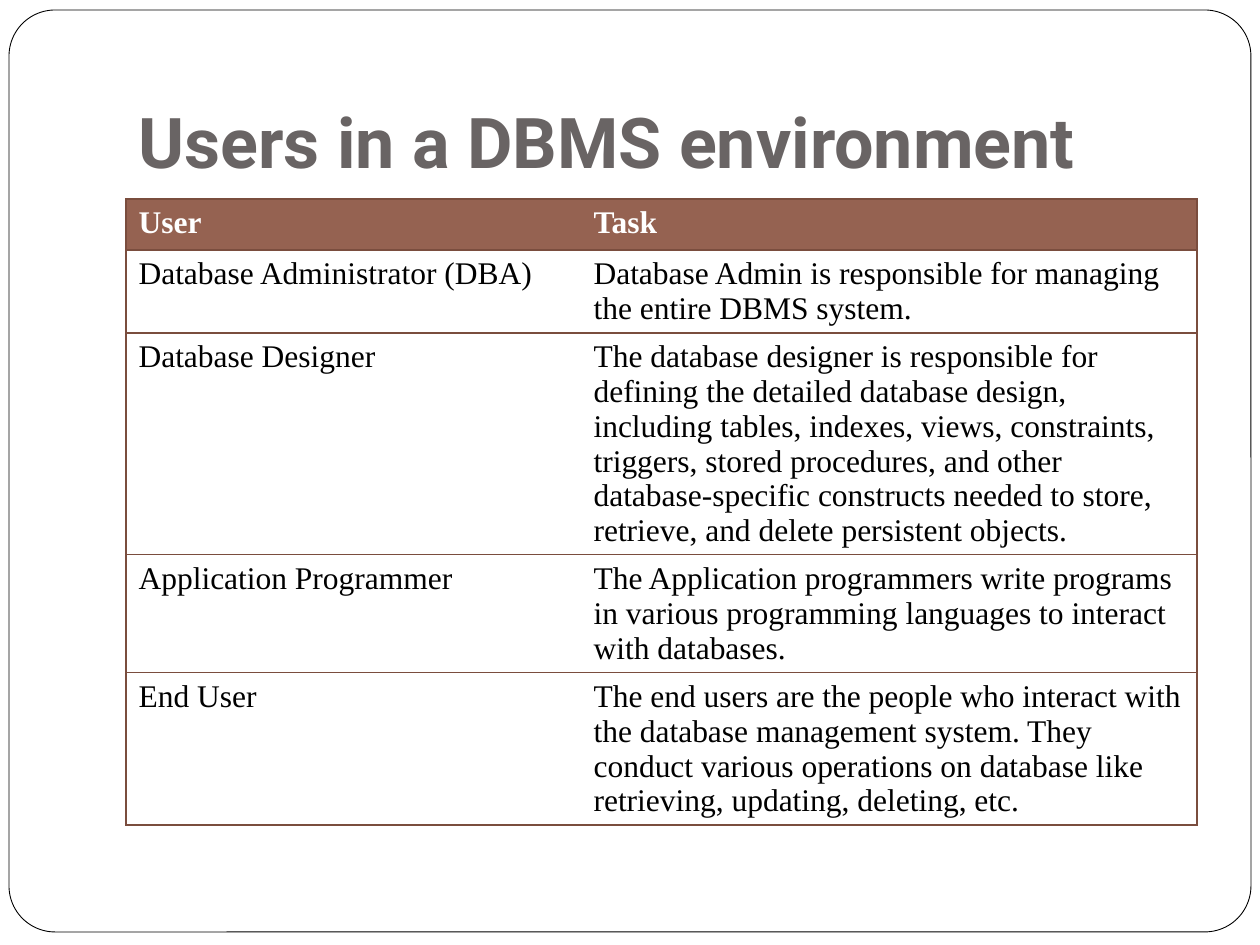
from dataclasses import dataclass

import lxml.etree
import pptx
import pptx.dml.color
import pptx.enum.shapes
import pptx.enum.text
import pptx.oxml.ns
import pptx.util

RGBColor = pptx.dml.color.RGBColor
BLACK = RGBColor(0x00, 0x00, 0x00)
WHITE = RGBColor(0xFF, 0xFF, 0xFF)
TITLE_GRAY = RGBColor(0x69, 0x64, 0x64)
HEADER_BROWN = RGBColor(0x95, 0x62, 0x51)
BORDER_BROWN = RGBColor(0x7A, 0x4D, 0x3E)

PX_PER_INCH = 126
BORDER_POINTS = 0.75
COLUMN_WIDTHS = (455, 616)


@dataclass(frozen=True)
class Row:
    user: str
    task: str
    height: int


HEADER = Row("User", "Task", 51)
ROWS = (
    HEADER,
    Row("Database Administrator (DBA)",
        "Database Admin is responsible for managing the entire DBMS system.", 83),
    Row("Database Designer",
        "The database designer is responsible for defining the detailed database "
        "design, including tables, indexes, views, constraints, triggers, stored "
        "procedures, and other database-specific constructs needed to store, "
        "retrieve, and delete persistent objects.", 221),
    Row("Application Programmer",
        "The Application programmers write programs in various programming "
        "languages to interact with databases.", 118),
    Row("End User",
        "The end users are the people who interact with the database management "
        "system. They conduct various operations on database like retrieving, "
        "updating, deleting, etc.", 152),
)


def px(length: int) -> pptx.util.Emu:
    return pptx.util.Emu(round(length * 914400 / PX_PER_INCH))


def add_frame(slide) -> None:
    """Draw the rounded page outline behind everything else."""
    frame = slide.shapes.add_shape(
        pptx.enum.shapes.MSO_SHAPE.ROUNDED_RECTANGLE, px(9), px(10), px(1242), px(922))
    frame.adjustments[0] = 0.05
    frame.shadow.inherit = False
    frame.fill.solid()
    frame.fill.fore_color.rgb = WHITE
    frame.line.color.rgb = BLACK
    frame.line.width = pptx.util.Pt(0.5)
    slide.shapes.element.insert(2, frame.element)


def format_title(title) -> None:
    title.left, title.top, title.width, title.height = px(126), px(38), px(1071), px(157)
    box = title.text_frame
    box.text = "Users in a DBMS environment"
    box.word_wrap = True
    box.vertical_anchor = pptx.enum.text.MSO_ANCHOR.BOTTOM
    box.margin_bottom = pptx.util.Inches(0.1)
    para = box.paragraphs[0]
    para.alignment = pptx.enum.text.PP_ALIGN.LEFT
    para.font.name = "Roboto"
    para.font.size = pptx.util.Pt(40)
    para.font.bold = True
    para.font.color.rgb = TITLE_GRAY


def set_borders(cell, visible_sides: str) -> None:
    """Line the named sides (L, R, T, B) and clear the others."""
    properties = cell._tc.get_or_add_tcPr()
    qn = pptx.oxml.ns.qn
    for index, side in enumerate("LRTB"):
        line = lxml.etree.Element(qn(f"a:ln{side}"), w=str(pptx.util.Pt(BORDER_POINTS)))
        if side in visible_sides:
            fill = lxml.etree.SubElement(line, qn("a:solidFill"))
            lxml.etree.SubElement(fill, qn("a:srgbClr"), val=str(BORDER_BROWN))
        else:
            lxml.etree.SubElement(line, qn("a:noFill"))
        properties.insert(index, line)


def fill_cell(cell, text: str, is_header: bool) -> None:
    cell.text = text
    cell.fill.solid()
    cell.fill.fore_color.rgb = HEADER_BROWN if is_header else WHITE
    font = cell.text_frame.paragraphs[0].font
    font.name = "Times New Roman"
    font.size = pptx.util.Pt(18)
    font.bold = is_header
    font.color.rgb = WHITE if is_header else BLACK


def add_user_table(slide) -> None:
    table = slide.shapes.add_table(
        len(ROWS), len(COLUMN_WIDTHS), px(126), px(199),
        px(sum(COLUMN_WIDTHS)), px(sum(row.height for row in ROWS))).table
    table.horz_banding = False
    for column, width in zip(table.columns, COLUMN_WIDTHS):
        column.width = px(width)
    for row_index, row in enumerate(ROWS):
        table.rows[row_index].height = px(row.height)
        for column_index, (text, sides) in enumerate(((row.user, "LTB"), (row.task, "RTB"))):
            cell = table.cell(row_index, column_index)
            fill_cell(cell, text, row is HEADER)
            set_borders(cell, sides)


def main() -> None:
    deck = pptx.Presentation()
    deck.slide_width, deck.slide_height = px(1260), px(945)
    slide = deck.slides.add_slide(deck.slide_layouts.get_by_name("Title Only"))
    add_frame(slide)
    format_title(slide.shapes.title)
    add_user_table(slide)
    deck.save("out.pptx")


if __name__ == "__main__":
    main()
